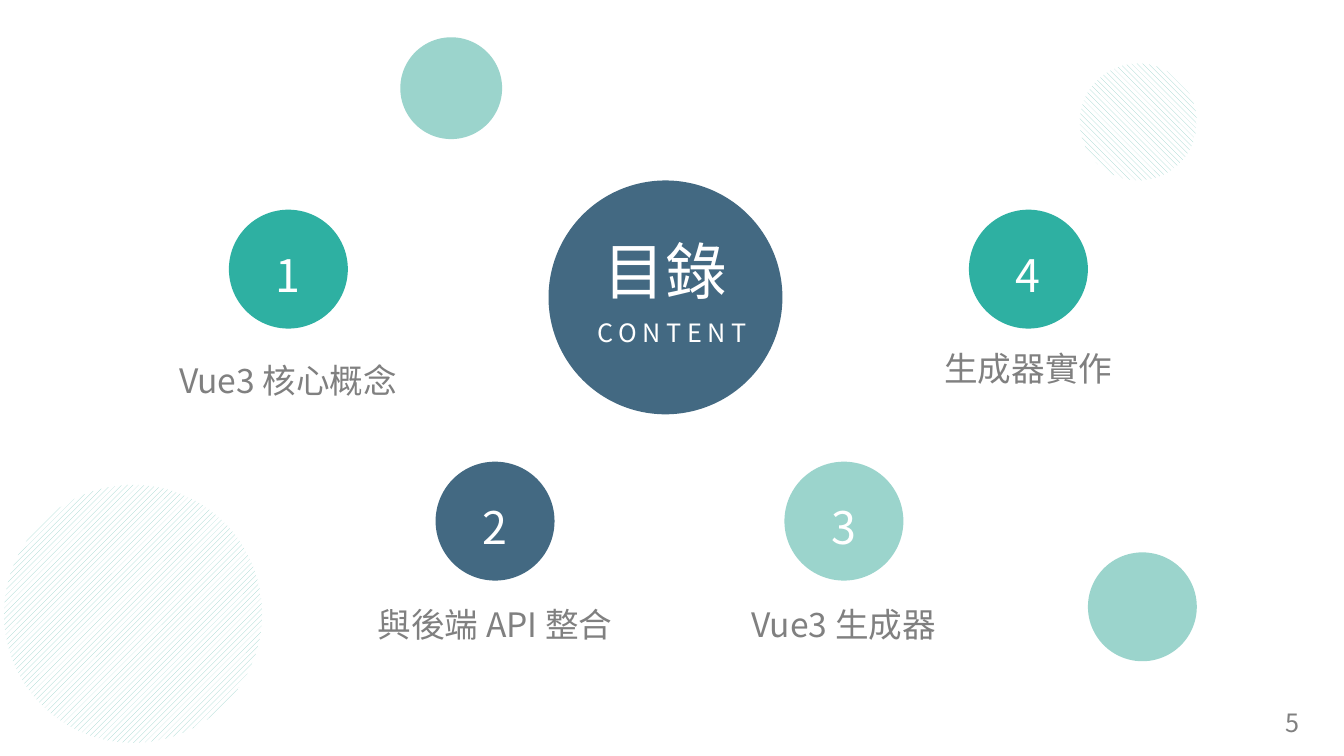
from dataclasses import dataclass

from lxml import etree
from pptx import Presentation
from pptx.dml.color import RGBColor
from pptx.enum.dml import MSO_PATTERN as Pattern
from pptx.enum.shapes import MSO_SHAPE as Shape
from pptx.enum.text import MSO_ANCHOR as Anchor, MSO_AUTO_SIZE as AutoSize, PP_ALIGN as Align
from pptx.oxml.ns import qn
from pptx.util import Inches, Pt


@dataclass(frozen=True)
class Theme:
    font: str = "Noto Sans CJK SC"
    navy: str = "436982"
    teal: str = "2EB0A2"
    mint: str = "9BD4CC"
    white: str = "FFFFFF"
    gray: str = "808080"
    title_size: int = 44
    number_size: int = 32
    label_size: int = 24
    small_size: int = 18


THEME = Theme()


def rgb(color):
    return RGBColor.from_string(color)


def write_text(shape, text, size, color=THEME.white, align=Align.CENTER, anchor=Anchor.TOP,
               margins=None, line_spacing=None, tracking=None, wrap=True, grow=False):
    frame = shape.text_frame
    frame.word_wrap = wrap
    frame.auto_size = AutoSize.SHAPE_TO_FIT_TEXT if grow else AutoSize.NONE
    frame.vertical_anchor = anchor
    if margins is not None:
        frame.margin_left = frame.margin_right = Inches(margins)
        frame.margin_top = frame.margin_bottom = Inches(margins)
    paragraph = frame.paragraphs[0]
    paragraph.alignment = align
    if line_spacing:
        paragraph.line_spacing = line_spacing
    run = paragraph.add_run()
    run.text = text
    run.font.size = Pt(size)
    run.font.color.rgb = rgb(color)
    run.font.name = THEME.font
    properties = run.font._element
    etree.SubElement(properties, qn("a:ea")).set("typeface", THEME.font)
    if tracking:
        properties.set("spc", str(tracking * 100))


def add_text(slide, left, top, width, height, text, size, **text_format):
    box = slide.shapes.add_textbox(Inches(left), Inches(top), Inches(width), Inches(height))
    write_text(box, text, size, **text_format)


def add_circle(slide, left, top, diameter, color, pattern=None):
    circle = slide.shapes.add_shape(
        Shape.OVAL, Inches(left), Inches(top), Inches(diameter), Inches(diameter))
    circle.shadow.inherit = False
    circle.line.fill.background()
    if pattern is None:
        circle.fill.solid()
        circle.fill.fore_color.rgb = rgb(color)
    else:
        circle.fill.patterned()
        circle.fill.pattern = pattern
        circle.fill.fore_color.rgb = rgb(color)
        circle.fill.back_color.rgb = rgb(THEME.white)
    return circle


def add_topic(slide, left, top, number, label, color, label_gap=0.17, label_shift=0):
    diameter, label_width = 1.18, 2.5
    circle = add_circle(slide, left, top, diameter, color)
    write_text(circle, number, THEME.number_size, anchor=Anchor.MIDDLE,
               margins=0.02, line_spacing=1.2)
    label_left = left + (diameter - label_width) / 2 + label_shift
    add_text(slide, label_left, top + diameter + label_gap, label_width, 0.44, label,
             THEME.label_size, color=THEME.gray, anchor=Anchor.MIDDLE, margins=0,
             line_spacing=1.2, grow=True)


def add_heading(slide, left, top, diameter):
    add_circle(slide, left, top, diameter, THEME.navy)
    add_text(slide, left + 0.45, top + 0.47, 1.44, 0.84, "目錄", THEME.title_size,
             align=Align.LEFT, wrap=False, grow=True)
    add_text(slide, left + 0.31, top + 1.31, 1.83, 0.4, "CONTENT", THEME.small_size,
             tracking=4, wrap=False, grow=True)


def add_decoration(slide):
    add_circle(slide, 10.79, 5.48, 1.08, THEME.mint)
    add_circle(slide, 3.97, 0.37, 1.01, THEME.mint)
    add_circle(slide, 0.04, 4.81, 2.56, THEME.mint, Pattern.WIDE_UPWARD_DIAGONAL)
    add_circle(slide, 10.71, 0.63, 1.16, THEME.mint, Pattern.WIDE_DOWNWARD_DIAGONAL)


def add_contents_slide(presentation):
    slide = presentation.slides.add_slide(presentation.slide_layouts[6])
    upper, lower = 2.08, 4.58
    add_topic(slide, 2.27, upper, "1", "Vue3 核心概念", THEME.teal, label_gap=0.25)
    add_topic(slide, 4.32, lower, "2", "與後端 API 整合", THEME.navy)
    add_topic(slide, 7.78, lower, "3", "Vue3 生成器", THEME.mint)
    add_topic(slide, 9.61, upper, "4", "生成器實作", THEME.teal, label_gap=0.13)
    add_heading(slide, 5.44, 1.79, 2.32)
    add_decoration(slide)
    add_text(slide, 9.99, 6.97, 3, 0.4, "5", THEME.small_size, color=THEME.gray,
             align=Align.RIGHT)


def main():
    presentation = Presentation()
    presentation.slide_width = Inches(13.33)
    presentation.slide_height = Inches(7.5)
    add_contents_slide(presentation)
    presentation.save("out.pptx")


if __name__ == "__main__":
    main()
